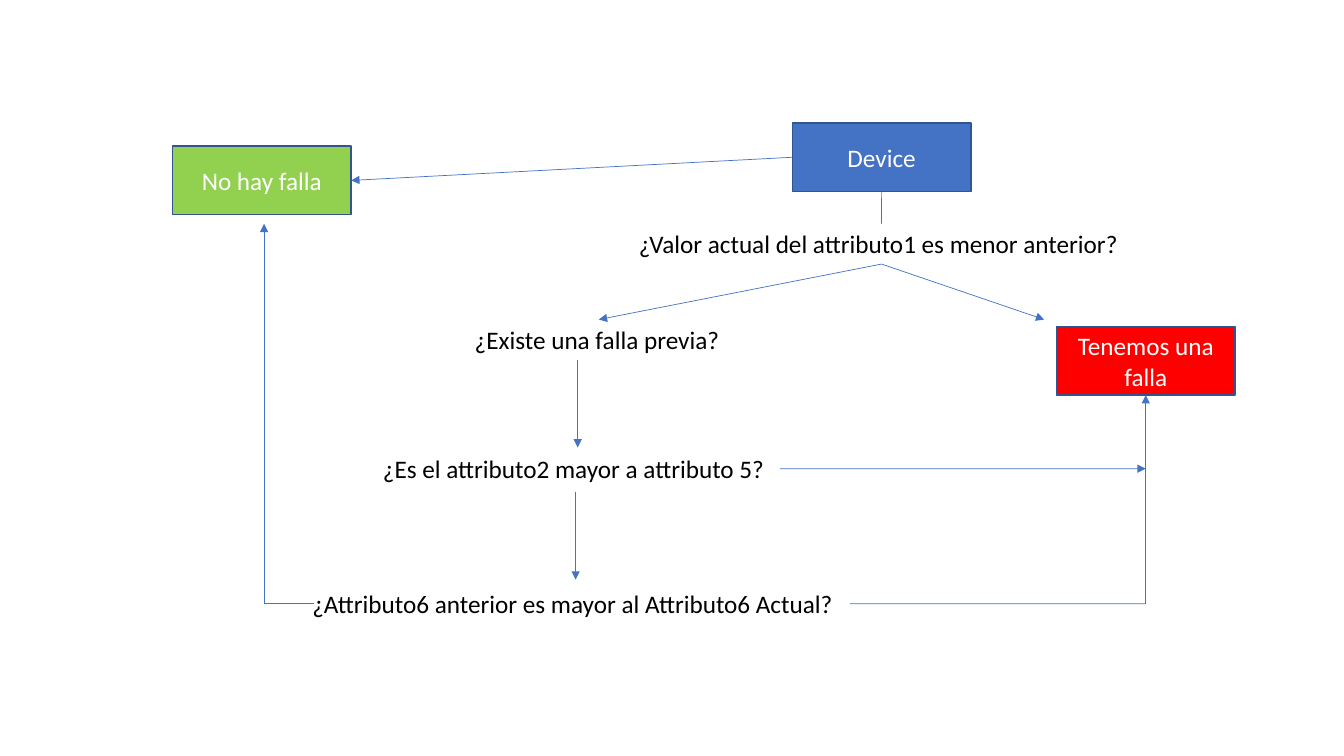
from dataclasses import dataclass

from lxml.etree import SubElement
from pptx import Presentation
from pptx.dml.color import RGBColor
from pptx.enum.shapes import MSO_CONNECTOR, MSO_SHAPE
from pptx.enum.text import MSO_ANCHOR, MSO_AUTO_SIZE, PP_ALIGN
from pptx.oxml.ns import qn
from pptx.util import Inches, Pt

TOP, LEFT, BOTTOM, RIGHT = range(4)  # connection sites of a rectangle


@dataclass(frozen=True)
class Theme:
    font: str = "Calibri"
    size: float = 18
    ink: str = "000000"
    light: str = "FFFFFF"
    blue: str = "4472C4"
    red: str = "FF0000"
    green: str = "92D050"
    edge: str = "325491"
    border: float = 1
    thin: float = 0.5


class Chart:
    """Draws a flow chart; lengths are percent of the slide's width and height."""
    box_w, box_h, ask_h = 13.3, 9.07, 5.33

    def __init__(self, deck, theme):
        self.deck, self.theme = deck, theme
        self.shapes = deck.slides.add_slide(deck.slide_layouts[6]).shapes

    def place(self, x, y):
        return (round(self.deck.slide_width * x / 100),
                round(self.deck.slide_height * y / 100))

    def label(self, frame, text, color, align):
        para = frame.paragraphs[0]
        para.text, para.alignment = text, align
        para.font.name = self.theme.font
        para.font.size = Pt(self.theme.size)
        para.font.color.rgb = RGBColor.from_string(color)

    def box(self, text, x, y, fill):
        shape = self.shapes.add_shape(
            MSO_SHAPE.RECTANGLE, *self.place(x, y),
            *self.place(self.box_w, self.box_h))
        shape.shadow.inherit = False
        shape.fill.solid()
        shape.fill.fore_color.rgb = RGBColor.from_string(fill)
        shape.line.color.rgb = RGBColor.from_string(self.theme.edge)
        shape.line.width = Pt(self.theme.border)
        shape.text_frame.word_wrap = True
        shape.text_frame.vertical_anchor = MSO_ANCHOR.MIDDLE
        self.label(shape.text_frame, text, self.theme.light, PP_ALIGN.CENTER)
        return shape

    def ask(self, text, x, y, width):
        shape = self.shapes.add_textbox(
            *self.place(x, y), *self.place(width, self.ask_h))
        shape.text_frame.word_wrap = False
        shape.text_frame.auto_size = MSO_AUTO_SIZE.SHAPE_TO_FIT_TEXT
        self.label(shape.text_frame, text, self.theme.ink, PP_ALIGN.LEFT)
        return shape

    def link(self, start, end, arrow=True):
        """Join two ends, each an (x, y) point or a (shape, site) pair."""
        line = self.shapes.add_connector(MSO_CONNECTOR.STRAIGHT, 0, 0, 0, 0)
        if isinstance(start[0], (int, float)):
            line.begin_x, line.begin_y = self.place(*start)
        else:
            line.begin_connect(*start)
        if isinstance(end[0], (int, float)):
            line.end_x, line.end_y = self.place(*end)
        else:
            line.end_connect(*end)
        line.line.color.rgb = RGBColor.from_string(self.theme.blue)
        line.line.width = Pt(self.theme.thin)
        props = line._element.spPr
        if arrow:
            SubElement(props.find(qn("a:ln")), qn("a:tailEnd"), type="triangle")
        SubElement(props, qn("a:effectLst"))


def main():
    deck = Presentation()
    deck.slide_width, deck.slide_height = Inches(13.33), Inches(7.5)
    theme = Theme()
    chart = Chart(deck, theme)

    device = chart.box("Device", 58.95, 16.27, theme.blue)
    fault = chart.box("Tenemos una falla", 78.6, 43.2, theme.red)
    fine = chart.box("No hay falla", 12.83, 19.33, theme.green)

    lower = chart.ask("¿Valor actual del attributo1 es menor anterior?",
                      46.8, 29.6, 37.58)
    prior = chart.ask("¿Existe una falla previa?", 34.58, 42.27, 19.95)
    more = chart.ask("¿Es el attributo2 mayor a attributo 5?",
                     27.75, 59.33, 30.3)
    last = chart.ask("¿Attributo6 anterior es mayor al Attributo6 Actual?",
                     22.5, 77.2, 40.73)

    # Right and left rails, and the row of the last question
    right, left, base = 85.25, 19.65, 79.87
    chart.link((device, LEFT), (fine, RIGHT))
    chart.link((device, BOTTOM), (lower, TOP), arrow=False)
    chart.link((lower, BOTTOM), (prior, TOP))
    chart.link((lower, BOTTOM), (77.7, 42.27))
    chart.link((42.98, 47.6), (42.98, 59.2))
    chart.link((42.83, 65.07), (42.83, 76.67))
    chart.link((more, RIGHT), (right, 62))
    chart.link((last, RIGHT), (right, base), arrow=False)
    chart.link((right, base), (fault, BOTTOM))
    chart.link((left, base), (23.33, base), arrow=False)
    chart.link((left, base), (left, 29.6))

    deck.save("out.pptx")


if __name__ == "__main__":
    main()
